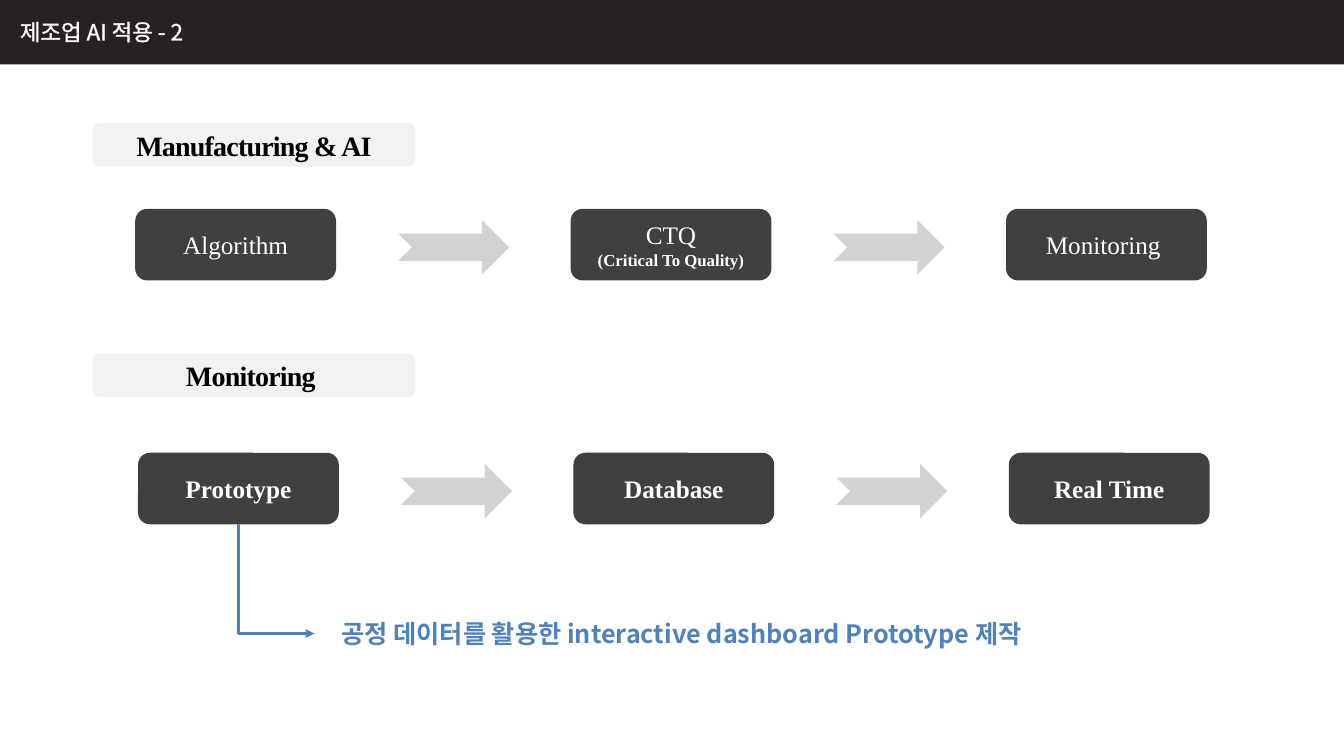
from dataclasses import dataclass, field
from typing import Any

from lxml.etree import SubElement
from pptx import Presentation
from pptx.dml.color import RGBColor
from pptx.enum.shapes import MSO_CONNECTOR as Link, MSO_SHAPE as Preset
from pptx.enum.text import MSO_ANCHOR as Anchor, MSO_AUTO_SIZE as AutoSize, PP_ALIGN as Align
from pptx.oxml.ns import qn
from pptx.util import Pt

COLORS = {
    "header": "272123",
    "title": "FFFFFF",
    "title_outline": "EEECE1",
    "section": "F2F2F2",
    "section_text": "000000",
    "step": "404040",
    "step_text": "FFFFFF",
    "arrow": "A6A6A6",
    "note": "FFFFFF",
    "note_text": "4F81BD",
    "branch": "4B7EBC",
}
KOREAN = "Noto Sans CJK KR"
SERIF = "Times New Roman"
STEP_PITCH = 311
STEP_WIDTH, STEP_HEIGHT = 143.4, 51.1
ARROW_DX, ARROW_DY = 187.9, 8


@dataclass
class Line:
    text: str
    color: str
    font: dict[str, Any]


@dataclass
class Block:
    preset: Preset
    box: tuple[float, float, float, float]
    fill: str
    lines: list[Line] = field(default_factory=list)
    frame: dict[str, Any] = field(default_factory=lambda: {"word_wrap": True})


@dataclass
class Flow:
    heading: str
    heading_top: float
    left: float
    top: float
    steps: list[list[Line]]


def rgb(name: str) -> RGBColor:
    return RGBColor.from_string(COLORS[name])


def apply(target: Any, values: dict[str, Any]) -> None:
    for name, value in values.items():
        setattr(target, name, value)


def write(frame: Any, lines: list[Line], align: Align) -> None:
    for index, line in enumerate(lines):
        paragraph = frame.paragraphs[0] if index == 0 else frame.add_paragraph()
        paragraph.alignment = align
        run = paragraph.add_run()
        run.text = line.text
        apply(run.font, line.font)
        run.font.color.rgb = rgb(line.color)
        east_asian = SubElement(run.font._element, qn("a:ea"))
        east_asian.set("typeface", line.font["name"])
        run.font._element.find(qn("a:latin")).addnext(east_asian)


def draw_block(slide: Any, block: Block) -> Any:
    shape = slide.shapes.add_shape(block.preset, *map(Pt, block.box))
    shape.shadow.inherit = False
    shape.fill.solid()
    shape.fill.fore_color.rgb = rgb(block.fill)
    shape.line.fill.background()
    apply(shape.text_frame, {"vertical_anchor": Anchor.MIDDLE, **block.frame})
    write(shape.text_frame, block.lines, Align.CENTER)
    return shape


def draw_title(slide: Any) -> None:
    title = slide.shapes.add_textbox(Pt(7.2), Pt(9.4), Pt(161.3), Pt(26.6))
    apply(title.text_frame, {"word_wrap": True, "auto_size": AutoSize.SHAPE_TO_FIT_TEXT})
    write(title.text_frame,
          [Line("제조업 AI 적용 - 2", "title", {"name": KOREAN, "size": Pt(16)})],
          Align.LEFT)
    properties = title.text_frame.paragraphs[0].runs[0].font._element
    outline = SubElement(properties, qn("a:ln"), w=str(Pt(0.75)))
    color = SubElement(SubElement(outline, qn("a:solidFill")), qn("a:srgbClr"))
    color.set("val", COLORS["title_outline"])
    properties.insert(0, outline)


def draw_heading(slide: Any, flow: Flow) -> None:
    font = {"name": SERIF, "size": Pt(20), "bold": True}
    heading = draw_block(slide, Block(
        Preset.ROUNDED_RECTANGLE, (66.2, flow.heading_top, 230.4, 31), "section",
        [Line(flow.heading, "section_text", font)], {"word_wrap": False}))
    paragraph = heading.text_frame.paragraphs[0]
    paragraph.runs[0].font._element.set("spc", "-60")
    apply_indent = paragraph._p.get_or_add_pPr().set
    apply_indent("marL", "0")
    apply_indent("indent", str(Pt(-28.8)))


def draw_flow(slide: Any, flow: Flow) -> None:
    draw_heading(slide, flow)
    for index, lines in enumerate(flow.steps):
        left = flow.left + index * STEP_PITCH
        draw_block(slide, Block(
            Preset.ROUNDED_RECTANGLE, (left, flow.top, STEP_WIDTH, STEP_HEIGHT),
            "step", lines))
        if index < len(flow.steps) - 1:
            arrow = draw_block(slide, Block(
                Preset.NOTCHED_RIGHT_ARROW,
                (left + ARROW_DX, flow.top + ARROW_DY, 79.2, 38.9), "arrow"))
            color = arrow._element.spPr.find(qn("a:solidFill"))[0]
            SubElement(color, qn("a:alpha"), val="50000")


def draw_branch(slide: Any, start: tuple[float, float], end: tuple[float, float]) -> None:
    center_x, center_y = (start[0] + end[0]) / 2, (start[1] + end[1]) / 2
    half_width, half_height = (end[1] - start[1]) / 2, (end[0] - start[0]) / 2
    branch = slide.shapes.add_connector(
        Link.ELBOW, Pt(center_x + half_width), Pt(center_y - half_height),
        Pt(center_x - half_width), Pt(center_y + half_height))
    branch.line.color.rgb = rgb("branch")
    branch.line.width = Pt(2)
    properties = branch._element.spPr
    properties.find(qn("a:xfrm")).set("rot", "16200000")
    properties.find(qn("a:prstGeom")).set("prst", "bentConnector2")
    SubElement(properties.find(qn("a:ln")), qn("a:tailEnd"), type="triangle")
    SubElement(properties, qn("a:effectLst"))


def main() -> None:
    presentation = Presentation()
    apply(presentation, {"slide_width": Pt(960), "slide_height": Pt(540)})
    slide = presentation.slides.add_slide(presentation.slide_layouts[6])

    plain = {"name": SERIF, "size": Pt(18)}
    strong = {**plain, "bold": True}
    small = {**strong, "size": Pt(12)}
    flows = [
        Flow("Manufacturing & AI", 88, 96.6, 149.2, [
            [Line("Algorithm", "step_text", plain)],
            [Line("CTQ", "step_text", plain),
             Line("(Critical To Quality)", "step_text", small)],
            [Line("Monitoring ", "step_text", plain)],
        ]),
        Flow("Monitoring ", 252.5, 98.6, 323.4, [
            [Line(name, "step_text", strong)]
            for name in ("Prototype", "Database", "Real Time")
        ]),
    ]

    draw_block(slide, Block(Preset.RECTANGLE, (-1.4, -0.7, 962, 46.8), "header"))
    draw_title(slide)
    for flow in flows:
        draw_flow(slide, flow)

    note = Line("공정 데이터를 활용한 interactive dashboard Prototype 제작 ", "note_text",
                {"name": KOREAN, "size": Pt(18), "bold": True})
    draw_block(slide, Block(Preset.RECTANGLE, (224.6, 427, 528.5, 51.1), "note", [note]))
    prototype = flows[1]
    draw_branch(slide,
                (prototype.left + STEP_WIDTH / 2, prototype.top + STEP_HEIGHT),
                (224.6, 452.5))
    presentation.save("out.pptx")


if __name__ == "__main__":
    main()
